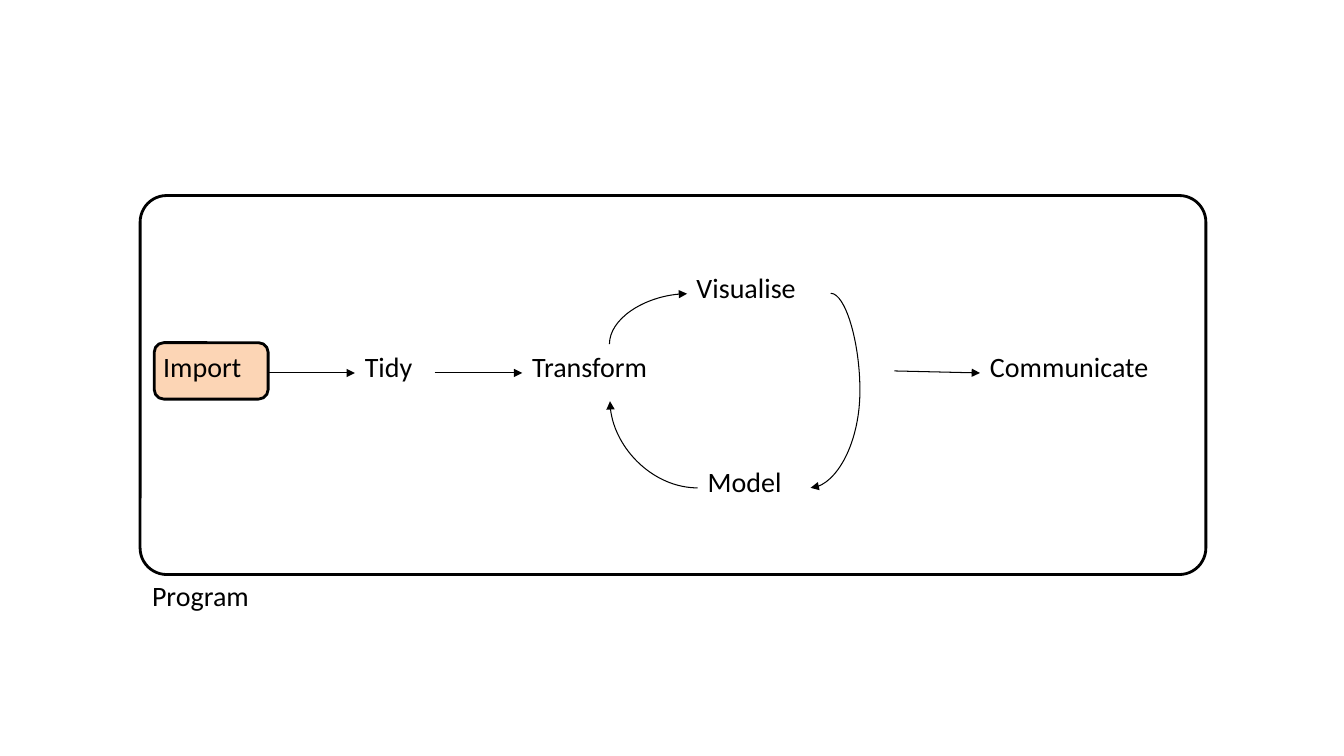
from dataclasses import dataclass
from typing import Optional

import lxml.etree
import pptx
import pptx.dml.color
import pptx.enum.shapes
import pptx.enum.text
import pptx.oxml.ns
import pptx.util
from pptx.util import Inches

BLACK = pptx.dml.color.RGBColor(0x00, 0x00, 0x00)
PEACH = pptx.dml.color.RGBColor(0xFC, 0xD5, 0xB5)
FONT = "Calibri"
LABEL_HEIGHT = 0.56
ROW_TOP = 3.42
BLANK_LAYOUT = 6


@dataclass
class Label:
    text: str
    left: float
    top: float
    width: float


@dataclass
class Panel:
    left: float
    top: float
    width: float
    height: float
    rounding: float
    fill: Optional[pptx.dml.color.RGBColor] = None


@dataclass
class Arrow:
    start: tuple[float, float]
    end: tuple[float, float]


@dataclass
class Curve:
    """A curved arrow, given by its frame before rotation."""
    preset: str
    left: float
    top: float
    width: float
    height: float
    rotation: int = 0
    flips: str = ""
    bend: Optional[int] = None


LABELS = [
    Label("Import", 1.52, ROW_TOP, 1.14),
    Label("Tidy", 3.52, ROW_TOP, 0.79),
    Label("Model", 6.92, 4.56, 1.13),
    Label("Communicate", 9.72, ROW_TOP, 2.11),
    Label("Transform", 5.18, ROW_TOP, 1.74),
    Label("Visualise", 6.81, 2.63, 1.44),
    Label("Program", 1.41, 5.69, 1.53),
]
IMPORT_PANEL = Panel(1.53, 3.4, 1.13, 0.56, 0.17, PEACH)
PROGRAM_PANEL = Panel(1.39, 1.94, 10.57, 3.76, 0.07)
ARROWS = [
    Arrow((2.66, 3.7), (3.52, 3.7)),
    Arrow((4.31, 3.7), (5.18, 3.7)),
    Arrow((8.87, 3.68), (9.72, 3.7)),
]
CURVES = [
    Curve("curvedConnector2", 6.18, 2.78, 0.5, 0.77, 90, "HV"),
    Curve("curvedConnector3", 8.04, 2.91, 0.2, 1.93, 0, "H", -144800),
    Curve("curvedConnector2", 6.05, 3.98, 0.87, 0.86, 180),
]


def add_panel(page: pptx.slide.Slide, panel: Panel) -> None:
    shape = page.shapes.add_shape(
        pptx.enum.shapes.MSO_SHAPE.ROUNDED_RECTANGLE,
        Inches(panel.left), Inches(panel.top),
        Inches(panel.width), Inches(panel.height))
    shape.adjustments[0] = panel.rounding
    shape.shadow.inherit = False
    if panel.fill is None:
        shape.fill.background()
    else:
        shape.fill.solid()
        shape.fill.fore_color.rgb = panel.fill
    shape.line.color.rgb = BLACK
    shape.line.width = pptx.util.Pt(2)


def add_label(page: pptx.slide.Slide, label: Label) -> None:
    box = page.shapes.add_textbox(
        Inches(label.left), Inches(label.top),
        Inches(label.width), Inches(LABEL_HEIGHT))
    frame = box.text_frame
    frame.word_wrap = True
    frame.auto_size = pptx.enum.text.MSO_AUTO_SIZE.SHAPE_TO_FIT_TEXT
    frame.text = label.text
    font = frame.paragraphs[0].runs[0].font
    font.name = FONT
    font.size = pptx.util.Pt(20)
    font.color.rgb = BLACK


def add_child(parent: lxml.etree.ElementBase, tag: str,
              **attributes: str) -> None:
    lxml.etree.SubElement(parent, pptx.oxml.ns.qn(tag), attributes)


def add_arrow(page: pptx.slide.Slide, arrow: Arrow,
              kind: pptx.enum.shapes.MSO_CONNECTOR
              ) -> pptx.shapes.connector.Connector:
    connector = page.shapes.add_connector(
        kind, *(Inches(length) for length in arrow.start + arrow.end))
    connector.line.color.rgb = BLACK
    connector.line.width = pptx.util.Pt(0.75)
    properties = connector.element.spPr
    add_child(properties.find(pptx.oxml.ns.qn("a:ln")),
              "a:tailEnd", type="triangle")
    add_child(properties, "a:effectLst")
    return connector


def add_curve(page: pptx.slide.Slide, curve: Curve) -> None:
    frame = Arrow((curve.left, curve.top),
                  (curve.left + curve.width, curve.top + curve.height))
    connector = add_arrow(page, frame, pptx.enum.shapes.MSO_CONNECTOR.CURVE)
    properties = connector.element.spPr

    # Turn and mirror the frame
    transform = properties.find(pptx.oxml.ns.qn("a:xfrm"))
    transform.set("rot", str(curve.rotation * 60000))
    for axis in curve.flips:
        transform.set(f"flip{axis}", "1")

    # Choose the shape of the bend
    geometry = properties.find(pptx.oxml.ns.qn("a:prstGeom"))
    geometry.set("prst", curve.preset)
    if curve.bend is not None:
        add_child(geometry.find(pptx.oxml.ns.qn("a:avLst")), "a:gd",
                  name="adj1", fmla=f"val {curve.bend}")


def main() -> None:
    deck = pptx.Presentation()
    deck.slide_width = Inches(13.33)
    deck.slide_height = Inches(7.5)
    page = deck.slides.add_slide(deck.slide_layouts[BLANK_LAYOUT])

    # Steps
    add_panel(page, IMPORT_PANEL)
    for label in LABELS:
        add_label(page, label)

    # Flow between the steps
    for arrow in ARROWS:
        add_arrow(page, arrow, pptx.enum.shapes.MSO_CONNECTOR.STRAIGHT)
    for curve in CURVES:
        add_curve(page, curve)

    # Program around all steps
    add_panel(page, PROGRAM_PANEL)
    deck.save("out.pptx")


if __name__ == "__main__":
    main()
